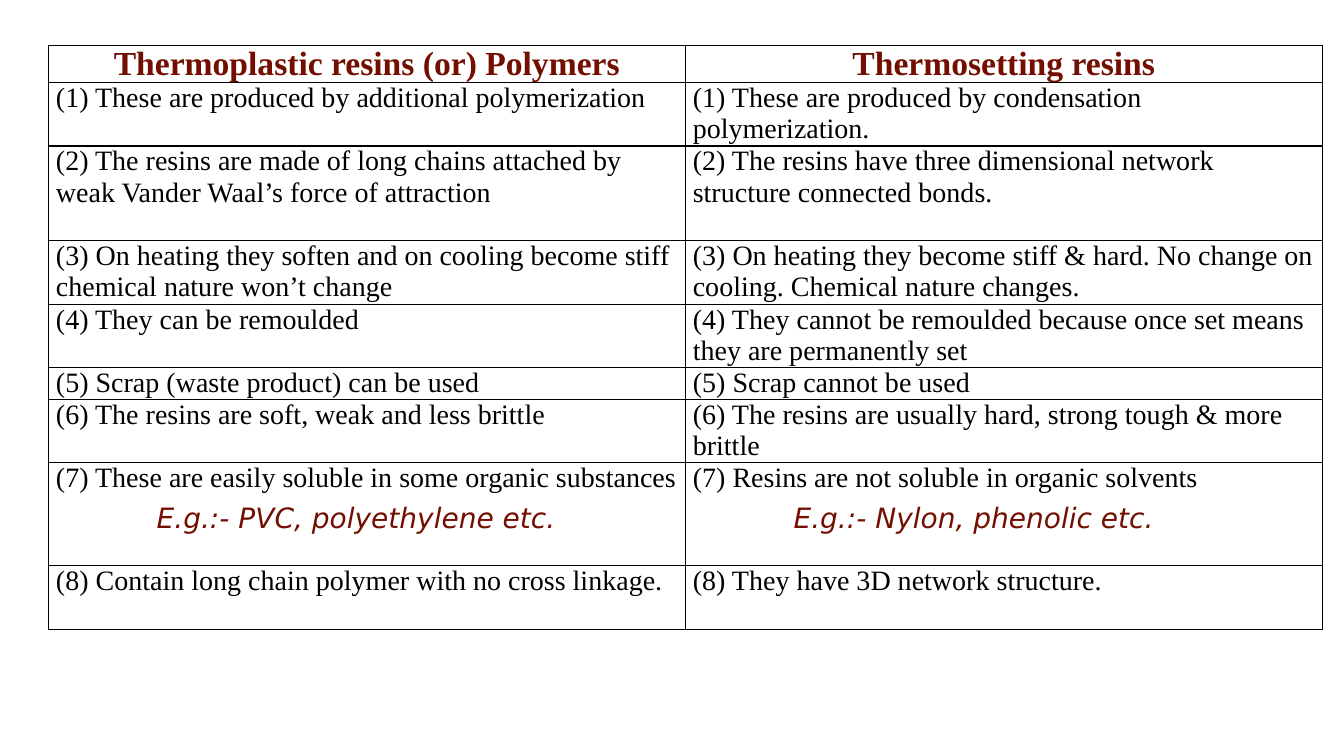
"""Build a slide comparing thermoplastic and thermosetting resins in a table."""
from lxml.etree import SubElement
from pptx import Presentation
from pptx.dml.color import RGBColor
from pptx.enum.text import MSO_ANCHOR, PP_ALIGN as Align
from pptx.oxml.ns import qn
from pptx.util import Cm, Pt

HEADINGS = ("Thermoplastic resins (or) Polymers", "Thermosetting resins")
COMPARISONS = [
    (1.6, "(1) These are produced by additional polymerization",
     "(1) These are produced by condensation polymerization."),
    (2.39, "(2) The resins are made of long chains attached by weak Vander Waal’s force of attraction",
     "(2) The resins have three dimensional network structure connected bonds."),
    (1.6, "(3) On heating they soften and on cooling become stiff chemical nature won’t change",
     "(3) On heating they become stiff & hard. No change on cooling. Chemical nature changes."),
    (1.6, "(4) They can be remoulded",
     "(4) They cannot be remoulded because once set means they are permanently set"),
    (0.79, "(5) Scrap (waste product) can be used", "(5) Scrap cannot be used"),
    (1.6, "(6) The resins are soft, weak and less brittle",
     "(6) The resins are usually hard, strong tough & more brittle"),
    (2.6, "(7) These are easily soluble in some organic substances",
     "(7) Resins are not soluble in organic solvents"),
    (1.6, "(8) Contain long chain polymer with no cross linkage.",
     "(8) They have 3D network structure."),
]
EXAMPLES = ("E.g.:- PVC, polyethylene etc.", "E.g.:- Nylon, phenolic etc.")
EXAMPLE_ROW = 7
HEADING_HEIGHT = 0.79
COLUMN_WIDTH = 16.05
LEFT, TOP = 1.22, 1.14
BLACK, MAROON = "000000", "730E00"


def color(value):
    return RGBColor.from_string(value)


def write(paragraph, text, size=20, font="Times New Roman", fill=BLACK, bold=False,
          italic=False, align=Align.LEFT, indent=0, before=0):
    if indent:
        paragraph._p.get_or_add_pPr().set("marL", str(Cm(indent)))
    paragraph.alignment = align
    if before:
        paragraph.space_before = Pt(before)
    run = paragraph.add_run()
    run.text = text
    run.font.size = Pt(size)
    run.font.name = font
    run.font.bold = bold
    run.font.italic = italic
    run.font.color.rgb = color(fill)


def format_cell(cell):
    cell.margin_left = cell.margin_right = Cm(0.19)
    cell.margin_top = cell.margin_bottom = 0
    cell.vertical_anchor = MSO_ANCHOR.TOP
    properties = cell._tc.get_or_add_tcPr()
    for side in ("a:lnL", "a:lnR", "a:lnT", "a:lnB"):
        line = SubElement(properties, qn(side), w=str(Pt(1)))
        SubElement(SubElement(line, qn("a:solidFill")), qn("a:srgbClr"), val=BLACK)
    cell.fill.background()


def main():
    presentation = Presentation()
    presentation.slide_width, presentation.slide_height = Cm(33.87), Cm(19.05)
    slide = presentation.slides.add_slide(presentation.slide_layouts[6])
    rows = [(HEADING_HEIGHT, *HEADINGS), *COMPARISONS]
    total_height = sum(row[0] for row in rows)
    table = slide.shapes.add_table(len(rows), len(HEADINGS), Cm(LEFT), Cm(TOP),
                                   Cm(COLUMN_WIDTH * len(HEADINGS)), Cm(total_height)).table
    table.horz_banding = False
    for row_index, (height, *texts) in enumerate(rows):
        table.rows[row_index].height = Cm(height)
        for column_index, text in enumerate(texts):
            cell = table.cell(row_index, column_index)
            format_cell(cell)
            paragraph = cell.text_frame.paragraphs[0]
            if row_index == 0:
                write(paragraph, text, size=24, fill=MAROON, bold=True, align=Align.CENTER)
            else:
                write(paragraph, text)
            if row_index == EXAMPLE_ROW:
                write(cell.text_frame.add_paragraph(), EXAMPLES[column_index],
                      font="DejaVu Sans", fill=MAROON, italic=True, indent=2.54, before=6)
    presentation.save("out.pptx")


if __name__ == "__main__":
    main()
